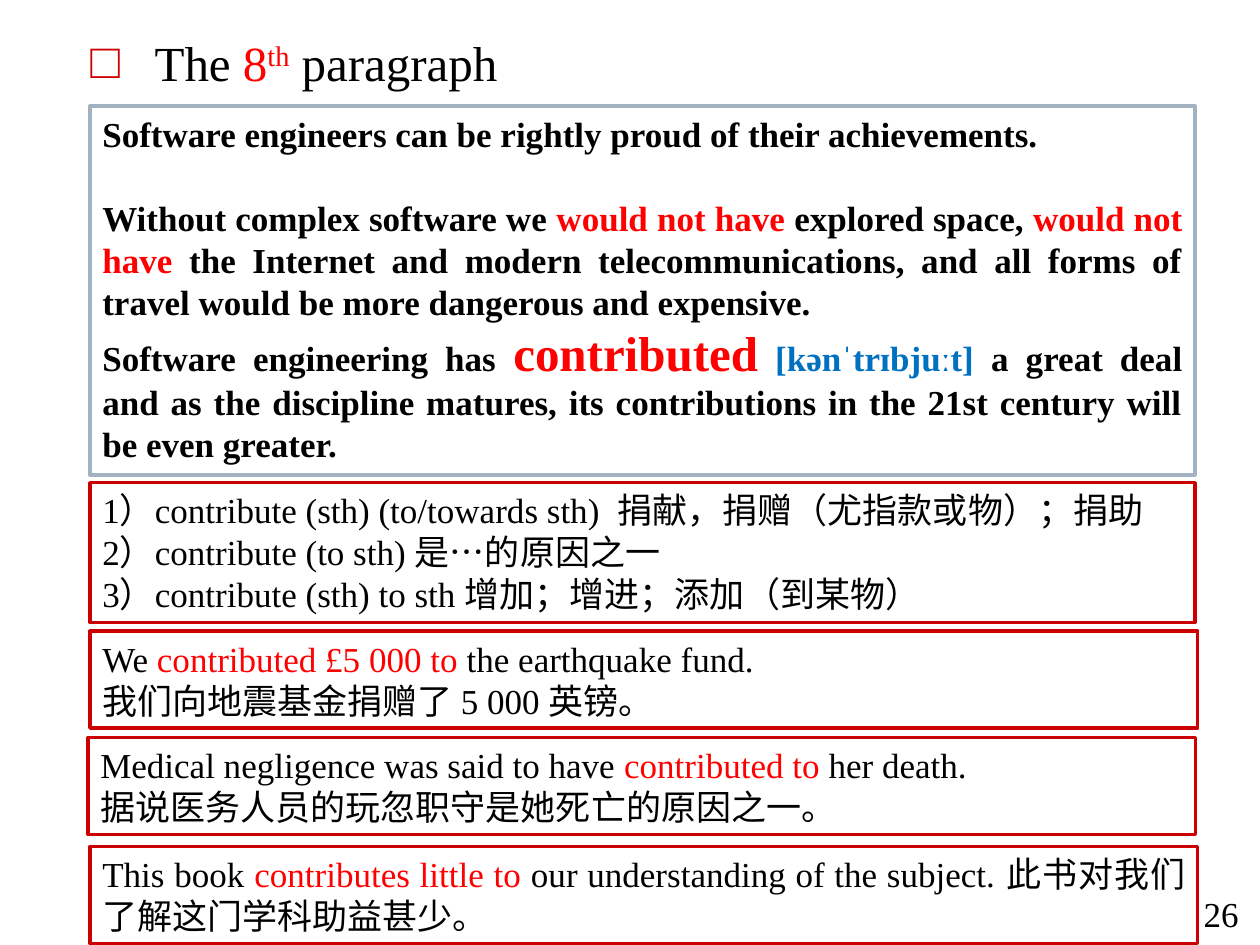
from lxml import etree
from pptx import Presentation
from pptx import util as u
from pptx.dml.color import RGBColor
from pptx.enum import shapes, text
from pptx.oxml.ns import qn

BLACK, RED, BLUE, WHITE = "000000", "FF0000", "0070C0", "FFFFFF"
FRAME, CRIMSON = "A3B2C1", "CC0000"
FONT = "Times New Roman"

# A run is plain text, or (text, format); a paragraph is a list of runs.
HEADING = ["The ", ("8", {"color": RED}), ("th", {"color": RED, "raised": True}), " paragraph"]

PASSAGE = [
    ["Software engineers can be rightly proud of their achievements."],
    ["Without complex software we ", ("would not have", {"color": RED}), " explored space, ",
     ("would not have ", {"color": RED}),
     "the Internet and modern telecommunications, and all forms of travel "
     "would be more dangerous and expensive."],
    ["Software engineering has ", ("contributed", {"color": RED, "size": 28}), " ",
     ("[kənˈtrɪbjuːt]", {"color": BLUE}),
     " a great deal and as the discipline matures, its contributions in the "
     "21st century will be even greater."],
]
MEANINGS = [
    ["1）contribute (sth) (to/towards sth)  捐献，捐赠（尤指款或物）；捐助"],
    ["2）contribute (to sth) 是…的原因之一"],
    ["3）contribute (sth) to sth 增加；增进；添加（到某物）"],
]
FUND = [
    ["We ", ("contributed £5 000 to ", {"color": RED}), "the earthquake fund."],
    ["我们向地震基金捐赠了 5 000 英镑。"],
]
NEGLIGENCE = [
    ["Medical negligence was said to have ", ("contributed to", {"color": RED}), " her death."],
    ["据说医务人员的玩忽职守是她死亡的原因之一。"],
]
BOOK = [
    ["This book ", ("contributes little to ", {"color": RED}),
     "our understanding of the subject. 此书对我们了解这门学科助益甚少。"],
]

# (left, top, width, height), paragraphs, line colour, bold
PANELS = [
    ((51.4, 60.5, 631.4, 211), PASSAGE, FRAME, True),
    ((51.4, 275.8, 631.4, 79.9), MEANINGS, CRIMSON, False),
    ((51.4, 360.7, 632.9, 55.4), FUND, CRIMSON, False),
    ((50.2, 421.5, 632.9, 55.4), NEGLIGENCE, CRIMSON, False),
    ((51.4, 483.8, 632.9, 55.4), BOOK, CRIMSON, False),
]
PAGE_NUMBER_AT = (677.5, 516.2, 37.4, 21.6)
HEADING_AT = (44.6, 15.1, 630, 42)


def color(value):
    return RGBColor.from_string(value)


def add_runs(para, runs, size, bold=False):
    for run in runs:
        words, changes = (run, {}) if isinstance(run, str) else run
        span = para.add_run()
        span.text = words
        values = {"name": FONT, "size": u.Pt(changes.get("size", size)), "bold": bold}
        for key, value in values.items():
            setattr(span.font, key, value)
        span.font.color.rgb = color(changes.get("color", BLACK))
        if changes.get("raised"):
            span.font._element.set("baseline", "30000")


def add_panel(page, at, paragraphs, line, align, anchor, bold=False):
    box = page.shapes.add_shape(shapes.MSO_SHAPE.RECTANGLE, *map(u.Pt, at))
    box.shadow.inherit = False
    box.fill.solid()
    box.fill.fore_color.rgb = color(WHITE)
    box.line.color.rgb = color(line)
    box.line.width = u.Pt(2)
    frame = box.text_frame
    frame.word_wrap = True
    frame.vertical_anchor = anchor
    for index, runs in enumerate(paragraphs):
        para = frame.add_paragraph() if index else frame.paragraphs[0]
        para.alignment = align
        add_runs(para, runs, 20, bold)
    return frame


def add_heading(page):
    frame = page.shapes.add_textbox(*map(u.Pt, HEADING_AT)).text_frame
    frame.word_wrap = True
    para = frame.paragraphs[0]
    props = para._p.get_or_add_pPr()
    props.set("marL", str(u.Pt(36.7)))
    props.set("indent", str(-u.Pt(36.7)))
    bullet_color = etree.SubElement(props, qn("a:buClr"))
    etree.SubElement(bullet_color, qn("a:srgbClr"), val=CRIMSON)
    etree.SubElement(props, qn("a:buFont"), typeface=FONT)
    etree.SubElement(props, qn("a:buChar"), char="□")
    add_runs(para, HEADING, 28)


def main():
    deck = Presentation()
    deck.slide_width, deck.slide_height = u.Pt(720), u.Pt(540)
    page = deck.slides.add_slide(deck.slide_layouts[6])
    add_heading(page)
    add_panel(page, PAGE_NUMBER_AT, [["26"]], WHITE,
              text.PP_ALIGN.RIGHT, text.MSO_ANCHOR.BOTTOM)
    for at, paragraphs, line, bold in PANELS:
        frame = add_panel(page, at, paragraphs, line,
                          text.PP_ALIGN.JUSTIFY, text.MSO_ANCHOR.TOP, bold)
        frame.auto_size = text.MSO_AUTO_SIZE.SHAPE_TO_FIT_TEXT
        if paragraphs is PASSAGE:
            frame.paragraphs[1].space_before = u.Pt(24)
    deck.save("out.pptx")


if __name__ == "__main__":
    main()
